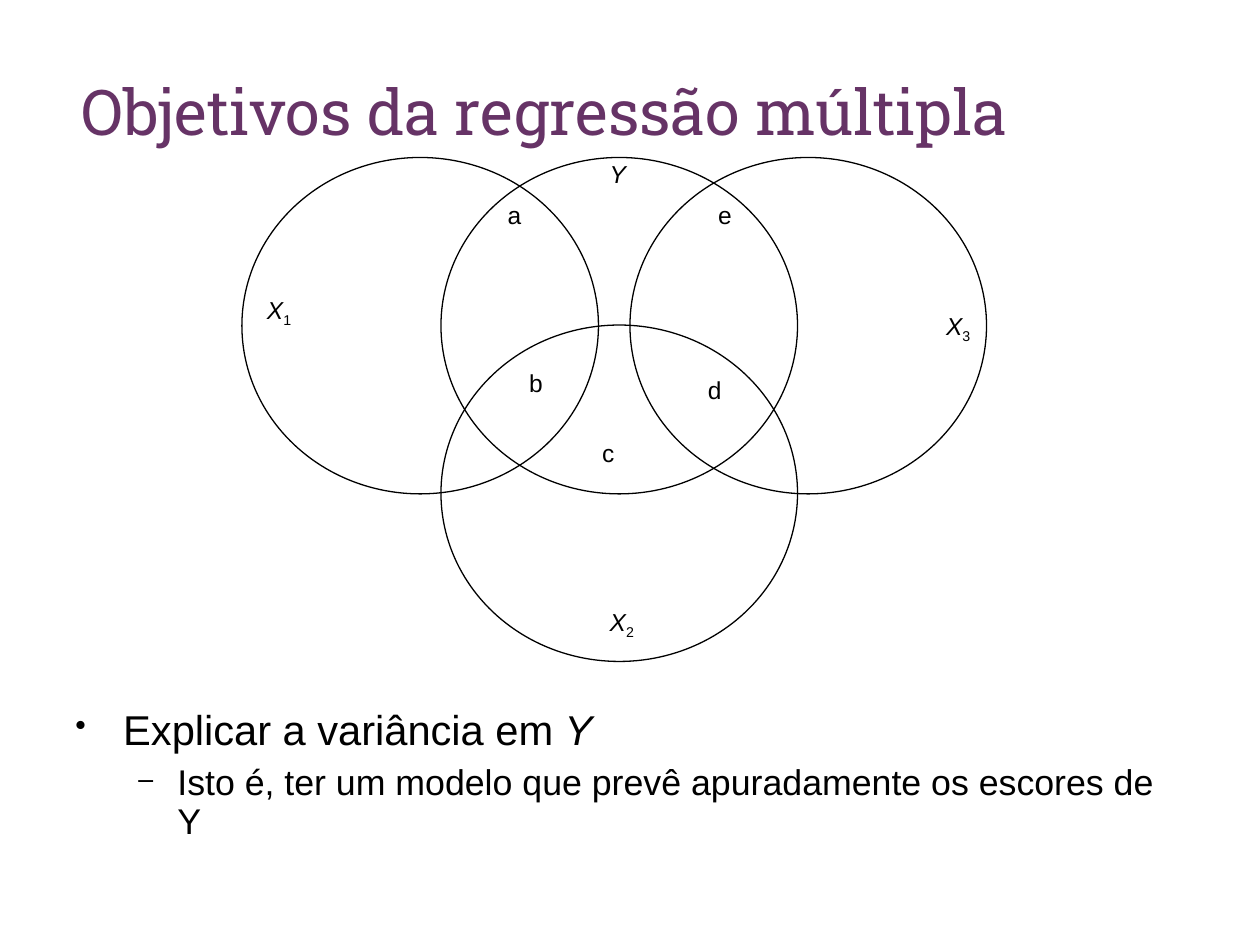
import pptx
import pptx.util
import pptx.dml.color
import pptx.enum.shapes
import pptx.enum.text
import pptx.oxml.ns
import lxml.etree

Inches = pptx.util.Inches
Pt = pptx.util.Pt
RGBColor = pptx.dml.color.RGBColor

PURPLE = RGBColor(0x66, 0x33, 0x66)
BLACK = RGBColor(0, 0, 0)


class Page:
    """Holds the style and the current slide."""

    sans = "Arial"
    slab = "Roboto Slab"

    def __init__(self, deck):
        self.slide = deck.slides.add_slide(deck.slide_layouts[6])

    def box(self, left, top, width, height, wrap=True):
        shape = self.slide.shapes.add_textbox(
            Inches(left), Inches(top), Inches(width), Inches(height))
        shape.text_frame.word_wrap = wrap
        return shape.text_frame

    def fill(self, para, parts, size, name=sans, color=BLACK):
        """Add (text, style) parts; style is "", "italic" or "sub"."""
        font = para.font
        font.size, font.name = Pt(size), name
        font.color.rgb = color
        for text, style in parts:
            run = para.add_run()
            run.text = text
            if style == "italic":
                run.font.italic = True
            elif style == "sub":
                run.font._element.set("baseline", "-25000")

    def title(self, text, *place):
        para = self.box(*place).paragraphs[0]
        self.fill(para, [(text, "")], 36, self.slab, PURPLE)

    def ring(self, left, top):
        shape = self.slide.shapes.add_shape(
            pptx.enum.shapes.MSO_SHAPE.OVAL,
            Inches(left), Inches(top), Inches(2.83), Inches(2.67))
        shape.shadow.inherit = False
        shape.fill.background()
        shape.line.color.rgb = BLACK
        shape.line.width = Pt(0.75)

    def label(self, left, top, parts):
        width = 0.39 if len(parts) > 1 else 0.31
        frame = self.box(left, top, width, 0.34, wrap=False)
        frame.auto_size = pptx.enum.text.MSO_AUTO_SIZE.SHAPE_TO_FIT_TEXT
        self.fill(frame.paragraphs[0], parts, 14)

    def bullet(self, para, level, mark, margin, hang, gap, size, parts):
        para.level = level
        para.line_spacing = 0.9
        para.space_before = Pt(gap)
        self.fill(para, parts, size)
        props = para._p.get_or_add_pPr()
        props.set("marL", str(Inches(margin)))
        props.set("indent", str(-Inches(hang)))
        # Bullet marks go just before the default run properties
        rest = props.find(pptx.oxml.ns.qn("a:defRPr"))
        for tag, key, value in (("a:buSzPct", "val", "75000"),
                                ("a:buChar", "char", mark)):
            node = lxml.etree.Element(pptx.oxml.ns.qn(tag))
            node.set(key, value)
            rest.addprevious(node)


def main():
    deck = pptx.Presentation()
    deck.slide_width, deck.slide_height = Inches(10), Inches(7.5)
    page = Page(deck)

    page.title("Objetivos da regressão múltipla", 0.55, 0.53, 8.26, 1.22)

    # Circles: Y, X1, X2, X3
    for left, top in ((3.5, 1.25), (1.92, 1.25), (3.5, 2.58), (5, 1.25)):
        page.ring(left, top)

    # Variable names
    page.label(4.74, 1.21, [("Y", "italic")])
    for digit, left, top in (("1", 2.02, 2.29), ("2", 4.74, 4.77),
                             ("3", 7.41, 2.42)):
        page.label(left, top, [("X", "italic"), (digit, "sub")])

    # Shared regions
    for name, left, top in (("a", 3.93, 1.54), ("b", 4.1, 2.87),
                            ("c", 4.68, 3.43), ("d", 5.52, 2.93),
                            ("e", 5.6, 1.54)):
        page.label(left, top, [(name, "")])

    # Goals
    frame = page.box(0.5, 5.58, 9, 1.25)
    page.bullet(frame.paragraphs[0], 0, "•", 0.38, 0.38, 7, 23.8,
                [("Explicar a variância em ", ""), ("Y", "italic")])
    page.bullet(frame.add_paragraph(), 1, "–", 0.81, 0.31, 6, 20.4,
                [("Isto é, ter um modelo que prevê apuradamente "
                  "os escores de Y", "")])

    deck.save("out.pptx")


if __name__ == "__main__":
    main()
